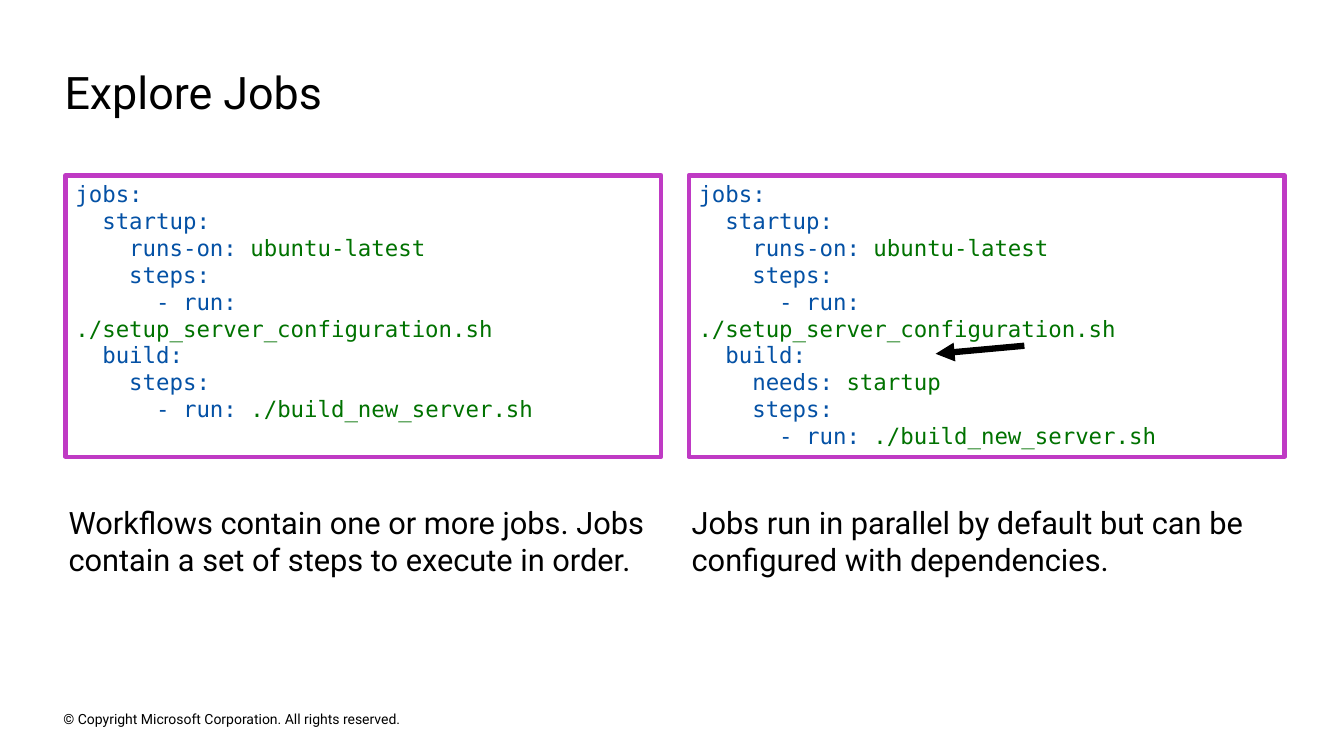
from dataclasses import dataclass

from lxml.etree import SubElement
from pptx import Presentation
from pptx.dml.color import RGBColor
from pptx.enum.shapes import MSO_CONNECTOR, MSO_SHAPE
from pptx.enum.text import MSO_ANCHOR, MSO_AUTO_SIZE, PP_ALIGN
from pptx.oxml.ns import qn
from pptx.slide import Slide
from pptx.text.text import TextFrame
from pptx.util import Inches, Pt

COLOURS = {
    "text": "000000",
    "frame": "BF3AC4",
    "key": "0451A5",
    "value": "007200",
}
TEXT_FONT = "Roboto"
CODE_FONT = "DejaVu Sans Mono"

STARTUP_JOB = """jobs:
  startup:
    runs-on: ubuntu-latest
    steps:
      - run: ./setup_server_configuration.sh
  build:"""
BUILD_STEPS = """
    steps:
      - run: ./build_new_server.sh"""


@dataclass
class Example:
    left: float
    code: str
    caption: str


EXAMPLES = [
    Example(0.65, STARTUP_JOB + BUILD_STEPS,
            "Workflows contain one or more jobs. Jobs contain a set of steps to execute in order."),
    Example(6.83, STARTUP_JOB + "\n    needs: startup" + BUILD_STEPS,
            "Jobs run in parallel by default but can be configured with dependencies."),
]


def colour(name: str) -> RGBColor:
    return RGBColor.from_string(COLOURS[name])


def write_text(frame: TextFrame, text: str, size: float,
               anchor: MSO_ANCHOR = MSO_ANCHOR.TOP) -> None:
    """Fill a frame without margins with one plain paragraph."""
    frame.word_wrap = True
    frame.auto_size = MSO_AUTO_SIZE.NONE
    frame.vertical_anchor = anchor
    frame.margin_left = frame.margin_top = frame.margin_right = frame.margin_bottom = 0
    para = frame.paragraphs[0]
    para.text = text
    para.alignment = PP_ALIGN.LEFT
    para.font.name = TEXT_FONT
    para.font.size = Pt(size)
    para.font.color.rgb = colour("text")


def add_text(page: Slide, left: float, top: float, width: float, height: float,
             text: str, size: float, anchor: MSO_ANCHOR = MSO_ANCHOR.TOP) -> None:
    box = page.shapes.add_textbox(Inches(left), Inches(top), Inches(width), Inches(height))
    write_text(box.text_frame, text, size, anchor)


def add_title(page: Slide, text: str) -> None:
    title = page.shapes.title
    title.left, title.top = Inches(0.64), Inches(0.64)
    title.width, title.height = Inches(8.96), Inches(0.54)
    write_text(title.text_frame, text, 32)


def add_code(page: Slide, left: float, code: str) -> None:
    """Draw a framed listing with keys and values in two colours."""
    box = page.shapes.add_shape(MSO_SHAPE.RECTANGLE, Inches(left), Inches(1.74),
                                Inches(5.91), Inches(2.79))
    box.shadow.inherit = False
    box.fill.background()
    box.line.color.rgb = colour("frame")
    box.line.width = Pt(3)
    frame = box.text_frame
    frame.word_wrap = True
    frame.vertical_anchor = MSO_ANCHOR.TOP
    for index, line in enumerate(code.split("\n")):
        para = frame.paragraphs[0] if index == 0 else frame.add_paragraph()
        para.alignment = PP_ALIGN.LEFT
        para.font.name = CODE_FONT
        para.font.size = Pt(16)
        key, separator, value = line.partition(": ")
        for text, role in ((key + separator, "key"), (value, "value")):
            if text:
                span = para.add_run()
                span.text = text
                span.font.color.rgb = colour(role)


def add_arrow(page: Slide) -> None:
    arrow = page.shapes.add_connector(MSO_CONNECTOR.STRAIGHT, Inches(10.16), Inches(3.43),
                                      Inches(9.28), Inches(3.51))
    arrow.line.color.rgb = colour("text")
    arrow.line.width = Pt(4.5)
    SubElement(arrow.line._get_or_add_ln(), qn("a:tailEnd"), type="triangle")
    SubElement(arrow._element.spPr, qn("a:effectLst"))


def main() -> None:
    deck = Presentation()
    deck.slide_width, deck.slide_height = Inches(13.33), Inches(7.5)
    page = deck.slides.add_slide(deck.slide_layouts[5])

    # Title and copyright line
    add_title(page, "Explore Jobs")
    add_text(page, 0.63, 7.02, 4.54, 0.22,
             "© Copyright Microsoft Corporation. All rights reserved.", 10, MSO_ANCHOR.MIDDLE)

    # Listings with their captions
    for example in EXAMPLES:
        add_code(page, example.left, example.code)
        add_text(page, example.left + 0.03, 5, 5.88, 0.74, example.caption, 22)

    # Pointer to the dependent job
    add_arrow(page)

    deck.save("out.pptx")


if __name__ == "__main__":
    main()
